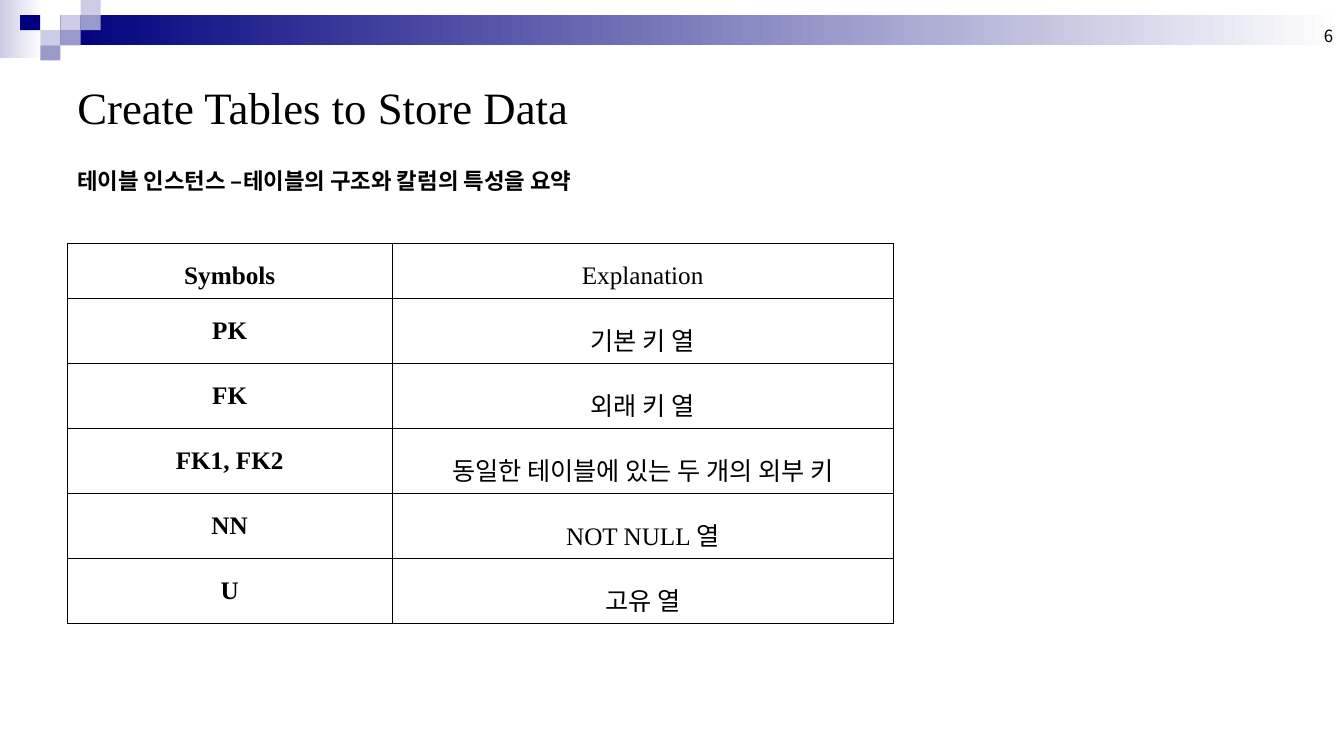
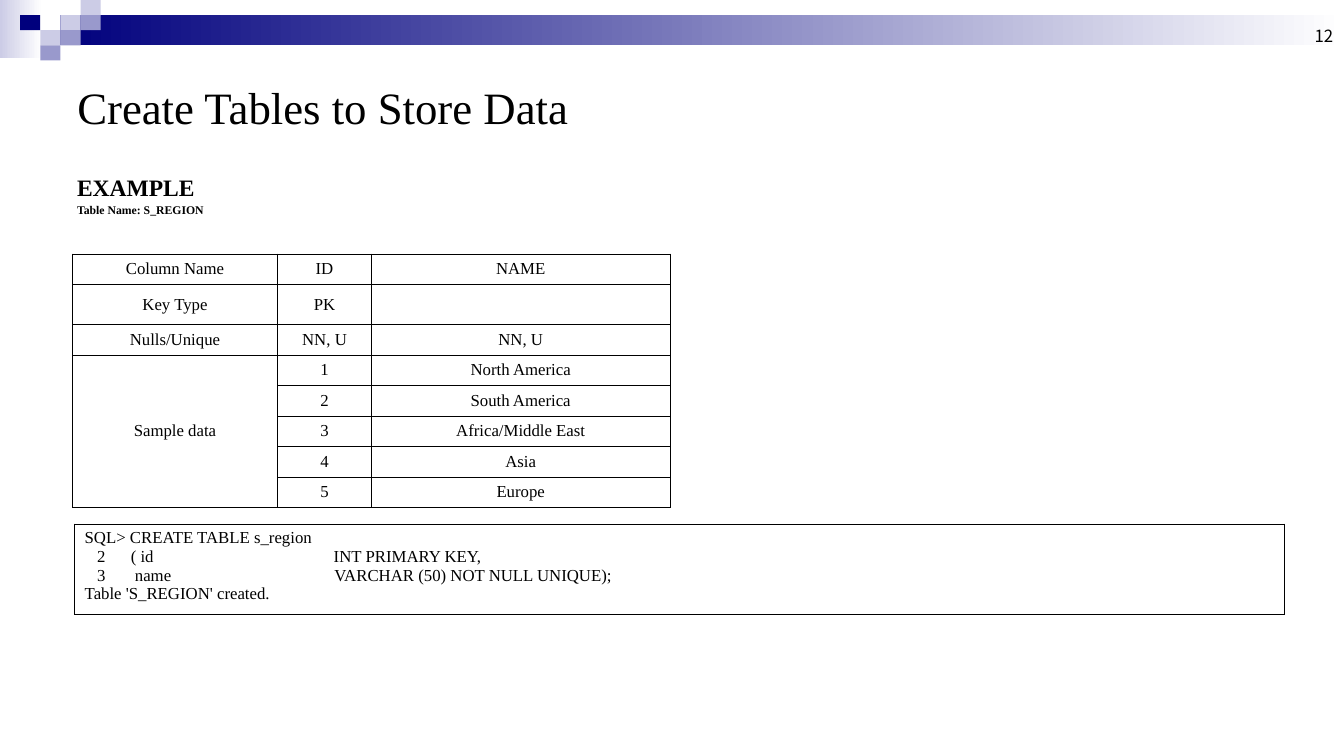
from dataclasses import dataclass
from typing import NamedTuple

from lxml.etree import SubElement
from pptx import Presentation
from pptx.dml.color import RGBColor
from pptx.enum.shapes import MSO_SHAPE as Preset
from pptx.enum.text import MSO_ANCHOR as Anchor, PP_ALIGN as Align
from pptx.oxml import parse_xml
from pptx.oxml.ns import nsdecls, qn
from pptx.util import Inches, Pt

SLIDE_WIDTH, SLIDE_HEIGHT = Inches(13.34), Inches(7.5)
COLORS = {
    "text": "000000",
    "navy": "00007D",
    "violet": "9999CC",
    "lavender": "CCCCE6",
    "paper": "FFFFFF",
}
SERIF, KOREAN = "Times New Roman", "Noto Sans CJK KR"
BORDER_WIDTH = Pt(0.45)
TILE_WIDTH, TILE_HEIGHT = 1.5, 2
TITLE = "Create Tables to Store Data"


class Box(NamedTuple):
    """A frame in percent of the slide's width and height."""
    left: float
    top: float
    width: float
    height: float

    def frame(self) -> tuple[int, int, int, int]:
        return (across(self.left), down(self.top),
                across(self.width), down(self.height))


class Band(NamedTuple):
    box: Box
    start: str


class Tile(NamedTuple):
    column: int
    row: int
    color: str


@dataclass
class TextStyle:
    size: float
    bold: bool = False
    align: Align = Align.LEFT
    anchor: Anchor = Anchor.TOP
    line_spacing: float = 1.0
    font: str = SERIF


@dataclass
class Line:
    text: str
    style: TextStyle
    space_before: float = 0


@dataclass
class Grid:
    """A table: its corner, column widths and row heights in percent."""
    left: float
    top: float
    columns: list[float]
    rows: list[float]


TITLE_BOX = Box(5, 6.67, 90, 14.93)
NUMBER_BOX = Box(76.6, 0, 23.33, 6.67)
TITLE_STYLE = TextStyle(32, anchor=Anchor.MIDDLE)
NUMBER_STYLE = TextStyle(12, align=Align.RIGHT, anchor=Anchor.BOTTOM, font=KOREAN)
SYMBOL_STYLE = TextStyle(18, bold=True, align=Align.CENTER, line_spacing=1.5)
EXPLANATION_STYLE = TextStyle(18, align=Align.CENTER, line_spacing=1.5)
SAMPLE_STYLE = TextStyle(12, align=Align.CENTER, anchor=Anchor.MIDDLE)
CODE_STYLE = TextStyle(12)

BANDS = [
    Band(Box(0, 0, 3.15, 7.73), "lavender"),
    Band(Box(4.5, 2, 95.5, 4), "navy"),
]
TILES = [
    Tile(3, 1, "lavender"),
    Tile(4, 0, "lavender"),
    Tile(4, 1, "violet"),
    Tile(2, 2, "lavender"),
    Tile(1, 1, "navy"),
    Tile(3, 2, "violet"),
    Tile(2, 3, "violet"),
]

SYMBOLS = [
    ("Symbols", "Explanation"),
    ("PK", "기본 키 열"),
    ("FK", "외래 키 열"),
    ("FK1, FK2", "동일한 테이블에 있는 두 개의 외부 키"),
    ("NN", "NOT NULL 열"),
    ("U", "고유 열"),
]
REGIONS = [
    ("Column Name", "ID", "NAME"),
    ("Key Type", "PK", ""),
    ("Nulls/Unique", "NN, U", "NN, U"),
    ("Sample data", "1", "North America"),
    ("", "2", "South America"),
    ("", "3", "Africa/Middle East"),
    ("", "4", "Asia"),
    ("", "5", "Europe"),
]
CODE = """SQL> CREATE TABLE s_region
   2      ( id                                           INT PRIMARY KEY,
   3       name                                       VARCHAR (50) NOT NULL UNIQUE);
Table 'S_REGION' created."""


def across(percent: float) -> int:
    return round(SLIDE_WIDTH * percent / 100)


def down(percent: float) -> int:
    return round(SLIDE_HEIGHT * percent / 100)


def color(name: str) -> RGBColor:
    return RGBColor.from_string(COLORS[name])


def write(text_frame, lines: list[Line]) -> None:
    for index, line in enumerate(lines):
        style = line.style
        paragraph = text_frame.add_paragraph() if index else text_frame.paragraphs[0]
        paragraph.alignment = style.align
        paragraph.line_spacing = style.line_spacing
        paragraph.space_before = Pt(line.space_before)
        run = paragraph.add_run()
        run.text = line.text
        run.font.size = Pt(style.size)
        run.font.bold = style.bold
        run.font.name = style.font
        run.font.color.rgb = color("text")
        east_asian = SubElement(run.font._element, qn("a:ea"))
        east_asian.set("typeface", KOREAN)


def add_text(slide, box: Box, lines: list[Line]) -> None:
    text_frame = slide.shapes.add_textbox(*box.frame()).text_frame
    text_frame.word_wrap = True
    text_frame.vertical_anchor = lines[0].style.anchor
    write(text_frame, lines)


def add_rectangle(slide, box: Box):
    shape = slide.shapes.add_shape(Preset.RECTANGLE, *box.frame())
    shape.shadow.inherit = False
    shape.line.fill.background()
    return shape


def decorate_layout(layout, slide) -> None:
    """Draw the bands and tiles on a slide, then move them to its layout."""
    shapes = []
    for band in BANDS:
        shape = add_rectangle(slide, band.box)
        shape.fill.gradient()
        shape.fill.gradient_angle = 0
        for stop, name in zip(shape.fill.gradient_stops, (band.start, "paper")):
            stop.color.rgb = color(name)
        shapes.append(shape)
    for tile in TILES:
        box = Box(tile.column * TILE_WIDTH, tile.row * TILE_HEIGHT,
                  TILE_WIDTH, TILE_HEIGHT)
        shape = add_rectangle(slide, box)
        shape.fill.solid()
        shape.fill.fore_color.rgb = color(tile.color)
        shapes.append(shape)
    for shape in shapes:
        layout.shapes.element.append(shape.element)


def add_titled_slide(presentation, layout, number: int):
    slide = presentation.slides.add_slide(layout)
    title = slide.shapes.title
    title.left, title.top, title.width, title.height = TITLE_BOX.frame()
    title.text_frame.vertical_anchor = TITLE_STYLE.anchor
    write(title.text_frame, [Line(TITLE, TITLE_STYLE)])
    add_text(slide, NUMBER_BOX, [Line(str(number), NUMBER_STYLE)])
    return slide


def set_borders(cell) -> None:
    properties = cell._tc.get_or_add_tcPr()
    for index, side in enumerate("LRTB"):
        properties.insert(index, parse_xml(
            f'<a:ln{side} {nsdecls("a")} w="{BORDER_WIDTH}"><a:solidFill>'
            f'<a:srgbClr val="{COLORS["text"]}"/></a:solidFill></a:ln{side}>'))


def add_grid(slide, grid: Grid, cells: list[tuple[str, ...]],
             styles: list[TextStyle]):
    """Add a bordered table with one text style per column."""
    box = Box(grid.left, grid.top, sum(grid.columns), sum(grid.rows))
    table = slide.shapes.add_table(
        len(grid.rows), len(grid.columns), *box.frame()).table
    table.first_row = table.horz_banding = False
    for column, width in zip(table.columns, grid.columns):
        column.width = across(width)
    for row, height, texts in zip(table.rows, grid.rows, cells):
        row.height = down(height)
        for cell, text, style in zip(row.cells, texts, styles):
            cell.fill.background()
            set_borders(cell)
            cell.vertical_anchor = style.anchor
            if text:
                write(cell.text_frame,
                      [Line(part, style) for part in text.split("\n")])
    return table


def fill_symbols_slide(slide) -> None:
    add_text(slide, Box(5, 21.47, 66.87, 11.87), [
        Line("테이블 인스턴스 –테이블의 구조와 칼럼의 특성을 요약",
             TextStyle(16, bold=True))])
    add_grid(slide, Grid(5.02, 32.13, [24.14, 37.33], [7.28] + [8.6] * 5),
             SYMBOLS, [SYMBOL_STYLE, EXPLANATION_STYLE])


def fill_example_slide(slide) -> None:
    add_text(slide, Box(5, 22.93, 66.87, 7.33), [
        Line("EXAMPLE", TextStyle(16.8, bold=True, line_spacing=0.8)),
        Line("Table Name: S_REGION",
             TextStyle(8.4, bold=True, line_spacing=0.8), space_before=3)])
    table = add_grid(
        slide, Grid(5.4, 33.6, [15.25, 7, 22.2], [4, 5.33] + [4.03] * 6),
        REGIONS, [SAMPLE_STYLE] * 3)
    table.cell(3, 0).merge(table.cell(7, 0))
    add_grid(slide, Grid(5.55, 69.3, [90], [12]), [(CODE,)], [CODE_STYLE])


def main() -> None:
    presentation = Presentation()
    presentation.slide_width, presentation.slide_height = SLIDE_WIDTH, SLIDE_HEIGHT
    layout = presentation.slide_layouts.get_by_name("Title Only")
    symbols_slide = add_titled_slide(presentation, layout, 6)
    decorate_layout(layout, symbols_slide)
    fill_symbols_slide(symbols_slide)
    fill_example_slide(add_titled_slide(presentation, layout, 12))
    presentation.save("out.pptx")


if __name__ == "__main__":
    main()
